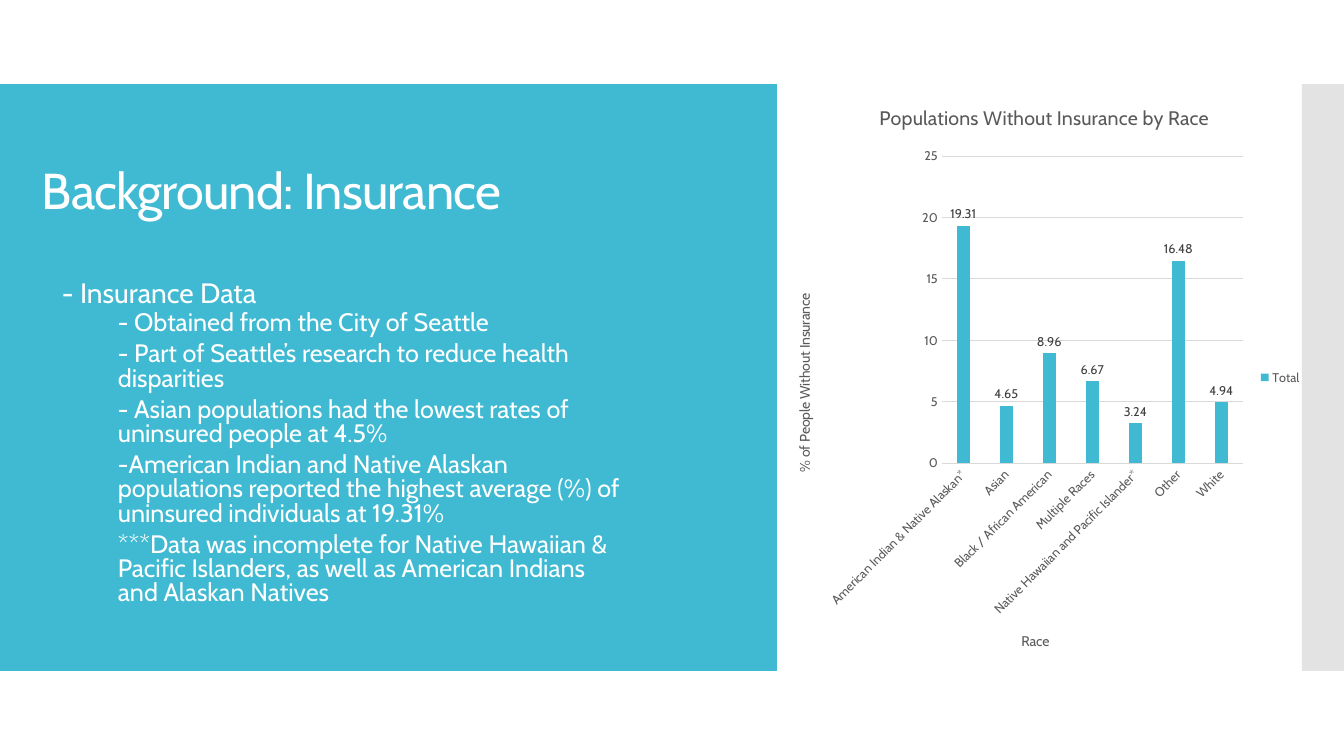
from lxml import etree
from pptx import Presentation
from pptx.chart.data import CategoryChartData
from pptx.dml.color import RGBColor
from pptx.enum.chart import XL_CHART_TYPE, XL_LABEL_POSITION, XL_LEGEND_POSITION, XL_TICK_MARK
from pptx.enum.shapes import MSO_SHAPE
from pptx.enum.text import MSO_ANCHOR
from pptx.oxml import parse_xml
from pptx.oxml.ns import nsdecls, qn
from pptx.util import Pt

TITLE = "Background: Insurance"
HEADING = "- Insurance Data"
POINTS = [
    "- Obtained from the City of Seattle",
    "- Part of Seattle’s research to reduce health disparities",
    "- Asian populations had the lowest rates of uninsured people at 4.5%",
    "-American Indian and Native Alaskan populations reported the highest average (%) of uninsured individuals at 19.31%",
    "***Data was incomplete for Native Hawaiian & Pacific Islanders, as well as American Indians and Alaskan Natives",
]
CHART_TITLE = "Populations Without Insurance by Race"
RACE_TITLE = "Race"
RATE_TITLE = "% of People Without Insurance"
SERIES = "Total"
RATES = {
    "American Indian & Native Alaskan*": 19.31,
    "Asian": 4.65,
    "Black / African American": 8.96,
    "Multiple Races": 6.67,
    "Native Hawaiian and Pacific Islander*": 3.24,
    "Other": 16.48,
    "White": 4.94,
}
FONT = "Cabin"
TEAL, WHITE, GREY, INK, RULE, STRIP = "40BAD2", "FFFFFF", "595959", "404040", "D9D9D9", "C8C8C8"
PAGE_SIZE = (1344, 756)
BAND_TOP, BAND_HEIGHT = 84, 587
PANEL_WIDTH, STRIP_WIDTH = 777, 42
CHART_AREA = (777, 84, 535, 587)
PLOT_AREA = (942, 156, 301, 307)


def px(length):
    return round(length * 914400 / 100.8)


def color(value):
    return RGBColor.from_string(value)


def set_font(font, size, value):
    font.name, font.size, font.bold = FONT, Pt(size), False
    font.color.rgb = color(value)


def add_band(left, width, value):
    band = page.shapes.add_shape(MSO_SHAPE.RECTANGLE, px(left), px(BAND_TOP), px(width), px(BAND_HEIGHT))
    band.shadow.inherit = False
    band.fill.solid()
    band.fill.fore_color.rgb = color(value)
    band.line.fill.background()
    return band


def add_text(left, top, width, height):
    box = page.shapes.add_textbox(px(left), px(top), px(width), px(height))
    box.text_frame.word_wrap = True
    return box.text_frame


def set_title(owner, text, size):
    frame = owner.text_frame
    frame.text = text
    set_font(frame.paragraphs[0].font, size, GREY)


def turn(axis, path, degrees):
    body = axis._element.xpath(path)[0]
    body.set("rot", str(degrees * 60000))
    body.set("vert", "horz")


deck = Presentation()
deck.slide_width, deck.slide_height = map(px, PAGE_SIZE)
page = deck.slides.add_slide(deck.slide_layouts[6])

add_band(0, PANEL_WIDTH, TEAL)
strip = add_band(PAGE_SIZE[0] - STRIP_WIDTH, STRIP_WIDTH, STRIP)
strip_color = strip._element.spPr.find(qn("a:solidFill"))[0]
etree.SubElement(strip_color, qn("a:alpha"), val="50000")

frame = add_text(32, 124, 712, 138)
frame.vertical_anchor = MSO_ANCHOR.MIDDLE
para = frame.paragraphs[0]
span = para.add_run()
span.text = TITLE
span._r.get_or_add_rPr().set("spc", "-60")
para.line_spacing = 0.9
set_font(para.font, 36, WHITE)

frame = add_text(32, 277, 609, 361)
for index, text in enumerate([HEADING] + POINTS):
    para = frame.add_paragraph() if index else frame.paragraphs[0]
    para.text = text
    para.line_spacing = 0.8
    para._p.get_or_add_pPr().set("marL", str(px(76 if index else 20)))
    if index:
        para.level = 1
        para.space_before = para.space_after = Pt(2.5)
    set_font(para.font, 18 if index else 20, WHITE)

data = CategoryChartData()
data.categories = list(RATES)
data.add_series(SERIES, list(RATES.values()))
chart = page.shapes.add_chart(XL_CHART_TYPE.COLUMN_CLUSTERED, *map(px, CHART_AREA), data).chart
set_font(chart.font, 10, GREY)
chart.has_title = True
set_title(chart.chart_title, CHART_TITLE, 14)
chart.chart_title.include_in_layout = False
chart.has_legend = True
chart.legend.position = XL_LEGEND_POSITION.RIGHT
chart.legend.include_in_layout = False
set_font(chart.legend.font, 9, GREY)

plot = chart.plots[0]
plot.gap_width, plot.overlap, plot.vary_by_categories = 219, -27, False
bars = plot.series[0]
bars.format.fill.solid()
bars.format.fill.fore_color.rgb = color(TEAL)
labels = bars.data_labels
labels.show_value = True
labels.position = XL_LABEL_POSITION.OUTSIDE_END
set_font(labels.font, 9, INK)

race_axis, rate_axis = chart.category_axis, chart.value_axis
for axis, text in ((race_axis, RACE_TITLE), (rate_axis, RATE_TITLE)):
    axis.major_tick_mark = axis.minor_tick_mark = XL_TICK_MARK.NONE
    set_font(axis.tick_labels.font, 9, GREY)
    set_title(axis.axis_title, text, 10)
turn(race_axis, "c:txPr/a:bodyPr", -45)
turn(rate_axis, "c:title//a:bodyPr", -90)
rate_axis.minimum_scale, rate_axis.maximum_scale, rate_axis.major_unit = 0, 25, 5
rate_axis.format.line.fill.background()
for line in (race_axis.format.line, rate_axis.major_gridlines.format.line):
    line.color.rgb = color(RULE)
    line.width = Pt(0.75)

left, top, width, height = CHART_AREA
plot_left, plot_top, plot_width, plot_height = PLOT_AREA
shares = {
    "x": (plot_left - left) / width,
    "y": (plot_top - top) / height,
    "w": plot_width / width,
    "h": plot_height / height,
}
places = '<c:layoutTarget val="inner"/><c:xMode val="edge"/><c:yMode val="edge"/>'
places += "".join(f'<c:{name} val="{share:.3f}"/>' for name, share in shares.items())
plot_area = chart._chartSpace.chart.plotArea
for old in plot_area.findall(qn("c:layout")):
    plot_area.remove(old)
plot_area.insert(0, parse_xml(f"<c:layout {nsdecls('c')}><c:manualLayout>{places}</c:manualLayout></c:layout>"))

deck.save("out.pptx")
